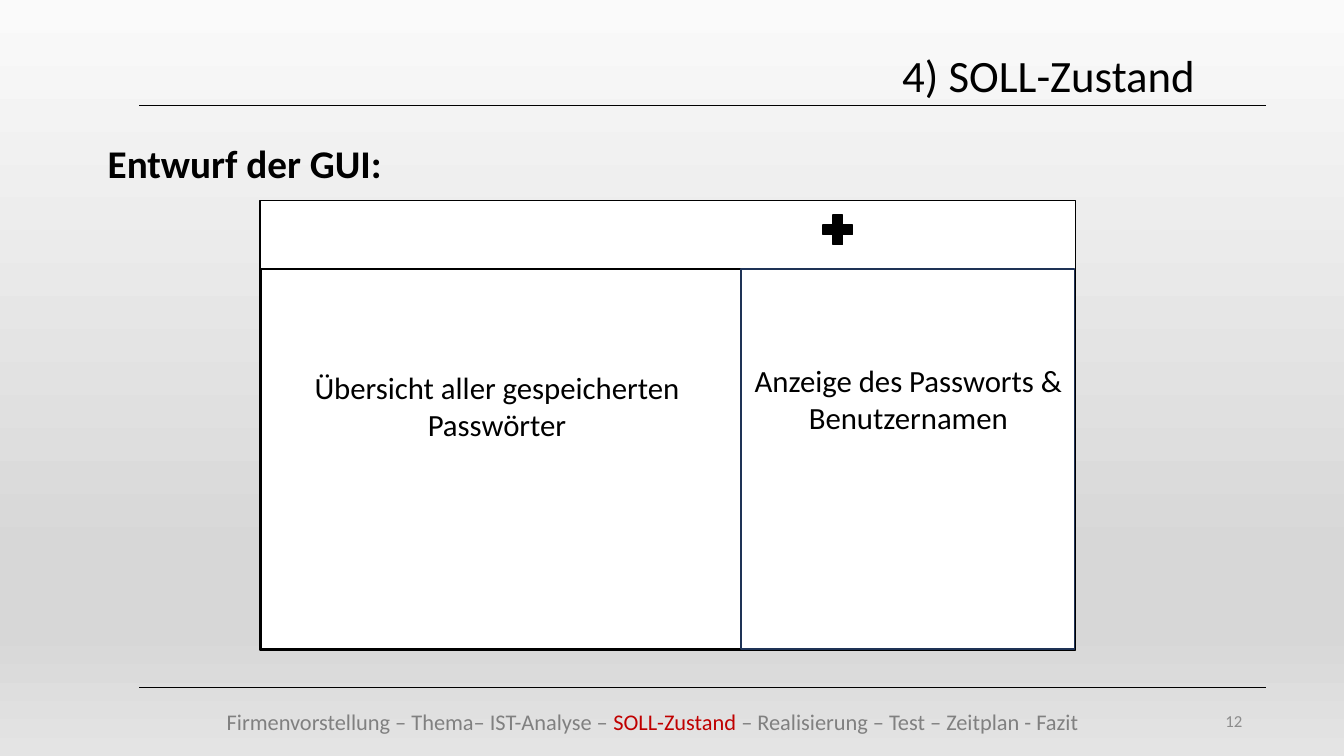
"""Build the slide with the planned GUI layout."""
from copy import deepcopy
from pptx import Presentation
from pptx.dml.color import RGBColor
from pptx.enum.shapes import MSO_CONNECTOR, MSO_SHAPE
from pptx.enum.text import MSO_ANCHOR, PP_ALIGN
from pptx.oxml.ns import qn
from pptx.util import Inches, Pt

WIDE, HIGH = 13.33, 7.5
BLACK, GRAY, RED, NAVY = "000000", "808080", "C00000", "1E3256"
STOPS = [(0, "FAFAFA"), (74, "D7D7D7"), (83, "D7D7D7"), (100, "E4E4E4")]
RULES = [1.05, 6.82]
EDGE = (1.38, 12.56)
LEFT, SPLIT, RIGHT = 2.59, 7.35, 10.66
TOP, BAR, BASE = 1.99, 2.67, 6.44
PAD = 0.01

SHAPES = [
    (MSO_SHAPE.RECTANGLE, (LEFT - PAD, TOP, RIGHT + PAD, BASE + PAD), "FFFFFF", BLACK),
    (MSO_SHAPE.MATH_PLUS, (8.11, 2.08, 8.51, 2.48), BLACK, BLACK),
    (MSO_SHAPE.RECTANGLE, (LEFT, BAR, SPLIT, BASE), None, BLACK),
    (MSO_SHAPE.RECTANGLE, (SPLIT, BAR, RIGHT, BASE), None, NAVY),
]
MID, END = PP_ALIGN.CENTER, PP_ALIGN.RIGHT
TEXTS = [
    ((9.42, 6.95, 3, 0.4), [("12", "8C8C8C")], {"size": Pt(12)}, END),
    ((2.15, 6.98, 10.71, 0.37),
     [("Firmenvorstellung – Thema– IST-Analyse – ", GRAY), ("SOLL-Zustand", RED),
      (" – Realisierung – Test – Zeitplan - Fazit", GRAY)], {"size": Pt(16)}, None),
    ((8.85, 0.42, 4.16, 0.64), [("4) SOLL-Zustand", BLACK)], {"size": Pt(32)}, None),
    ((0.97, 1.33, 4.46, 0.57), [("Entwurf der GUI:", BLACK)],
     {"size": Pt(28), "bold": True}, None),
    ((2.51, 3.61, SPLIT - 2.51, 0.84),
     [("Übersicht aller gespeicherten Passwörter", BLACK)], {"size": Pt(22)}, MID),
    ((SPLIT + PAD, 3.54, RIGHT - SPLIT - PAD, 0.84),
     [("Anzeige des Passworts & Benutzernamen", BLACK)], {"size": Pt(22)}, MID),
]


def color(code):
    """Turn a hex string into a colour."""
    return RGBColor.from_string(code)


def paint(slide):
    """Fill the background with the gray gradient."""
    fill = slide.background.fill
    fill.gradient()
    fill.gradient_angle = 270
    row = slide.element.find(".//" + qn("a:gsLst"))
    first = row[0]
    for _ in STOPS[len(row):]:
        row.append(deepcopy(first))
    for stop, (pos, code) in zip(fill.gradient_stops, STOPS):
        stop.position = pos / 100
        stop.color.rgb = color(code)


def rule(slide, y):
    """Draw a thin line across the slide."""
    ends = [Inches(v) for v in (EDGE[0], y, EDGE[1], y)]
    line = slide.shapes.add_connector(MSO_CONNECTOR.STRAIGHT, *ends)
    line.line.width = Pt(0.5)
    line.line.color.rgb = color(BLACK)
    props = line.element.spPr
    props.append(props.makeelement(qn("a:effectLst"), {}))


def block(slide, kind, sides, fill, edge):
    """Draw an outlined shape between its four sides."""
    x, y, right, base = sides
    box = [Inches(v) for v in (x, y, right - x, base - y)]
    shape = slide.shapes.add_shape(kind, *box)
    shape.shadow.inherit = False
    if fill:
        shape.fill.solid()
        shape.fill.fore_color.rgb = color(fill)
    else:
        shape.fill.background()
    shape.line.width = Pt(1)
    shape.line.color.rgb = color(edge)


def label(slide, box, runs, style, align):
    """Write one paragraph of coloured runs."""
    frame = slide.shapes.add_textbox(*[Inches(v) for v in box]).text_frame
    frame.word_wrap = True
    frame.vertical_anchor = MSO_ANCHOR.MIDDLE if align == END else MSO_ANCHOR.TOP
    para = frame.paragraphs[0]
    para.alignment = align
    for text, code in runs:
        run = para.add_run()
        run.text = text
        for key, value in {"name": "Calibri", **style}.items():
            setattr(run.font, key, value)
        run.font.color.rgb = color(code)


def main():
    """Build and save the slide."""
    deck = Presentation()
    deck.slide_width, deck.slide_height = Inches(WIDE), Inches(HIGH)
    slide = deck.slides.add_slide(deck.slide_layouts[6])
    paint(slide)
    for y in RULES:
        rule(slide, y)
    for item in SHAPES:
        block(slide, *item)
    for item in TEXTS:
        label(slide, *item)
    deck.save("out.pptx")


if __name__ == "__main__":
    main()
